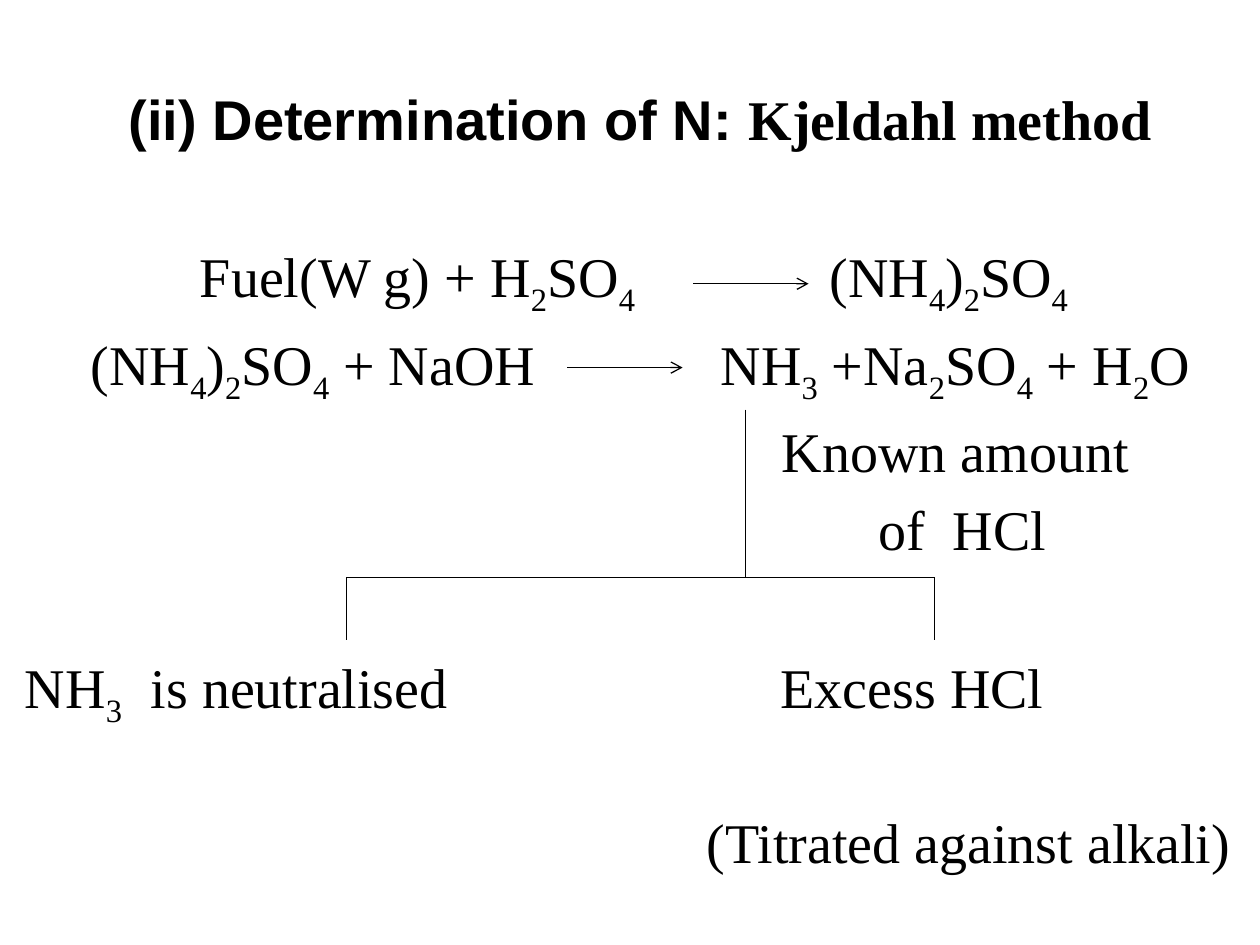
from lxml.etree import SubElement
from pptx import Presentation
from pptx.dml.color import RGBColor
from pptx.enum.shapes import MSO_CONNECTOR as Connector
from pptx.enum.text import PP_ALIGN as Align
from pptx.oxml.ns import qn
from pptx.util import Cm, Pt

COLORS = {"ink": "000000", "paper": "FFFFFF"}
SERIF, SANS = "Times New Roman", "Arial"
LINE_HEIGHT = 1.3
MARGINS = {"margin_left": 0, "margin_right": 0, "margin_top": 0, "margin_bottom": 0}
BODY = {"name": SERIF, "size": Pt(32), "bold": False}

TITLE = [("(ii) Determination of N: ", SANS), ("Kjeldahl method", SERIF)]
TITLE_AT = (0.21, 1.7, 25.4)

# left, top, width in cm, alignment, lines; "_" lowers the next character
STATEMENTS = [
    (4.03, 4.87, 10, Align.LEFT, ["Fuel(W g) + H_2SO_4"]),
    (16.72, 4.87, 6, Align.LEFT, ["(NH_4)_2SO_4"]),
    (1.83, 6.64, 10, Align.LEFT, ["(NH_4)_2SO_4 + NaOH"]),
    (14.53, 6.64, 10.5, Align.LEFT, ["NH_3 +Na_2SO_4 + H_2O"]),
    (15.26, 8.39, 8, Align.CENTER, ["Known amount", " of  HCl"]),
    (0.5, 13.15, 9.5, Align.LEFT, ["NH_3\tis neutralised"]),
    (15.74, 13.15, 7, Align.LEFT, ["Excess HCl"]),
    (14.25, 16.28, 11.1, Align.LEFT, ["(Titrated against alkali)"]),
]

ARROW_LENGTH = 2.33
REACTION_ARROWS = [(13.97, 5.72), (11.43, 7.41)]
TREE = {"stem": 15.03, "top": 8.26, "fork": 11.64, "bottom": 12.9,
        "branches": (6.99, 18.84)}


def apply(target, values):
    for name, value in values.items():
        setattr(target, name, value)


def add_run(paragraph, text, font=SERIF, bold=False, lowered=False):
    run = paragraph.add_run()
    run.text = text
    apply(run.font, {**BODY, "name": font, "bold": bold})
    run.font.color.rgb = RGBColor.from_string(COLORS["ink"])
    if lowered:
        run.font._element.set("baseline", "-25000")


def add_formula(paragraph, formula):
    start, *rest = formula.split("_")
    add_run(paragraph, start)
    for part in rest:
        add_run(paragraph, part[0], lowered=True)
        if part[1:]:
            add_run(paragraph, part[1:])


def add_frame(slide, left, top, width, lines=1):
    box = slide.shapes.add_textbox(Cm(left), Cm(top), Cm(width), Cm(LINE_HEIGHT * lines))
    apply(box.text_frame, {**MARGINS, "word_wrap": True})
    return box.text_frame


def add_line(slide, x1, y1, x2, y2, arrow=False):
    line = slide.shapes.add_connector(Connector.STRAIGHT, Cm(x1), Cm(y1), Cm(x2), Cm(y2))
    line.line.color.rgb = RGBColor.from_string(COLORS["ink"])
    line.line.width = Pt(0.75)
    if arrow:
        SubElement(line.line._get_or_add_ln(), qn("a:tailEnd"), type="arrow")
    SubElement(line._element.spPr, qn("a:effectLst"))


def main():
    deck = Presentation()
    deck.slide_width, deck.slide_height = Cm(25.4), Cm(19.05)
    slide = deck.slides.add_slide(deck.slide_layouts[6])
    slide.background.fill.solid()
    slide.background.fill.fore_color.rgb = RGBColor.from_string(COLORS["paper"])

    heading = add_frame(slide, *TITLE_AT).paragraphs[0]
    heading.alignment = Align.CENTER
    for text, font in TITLE:
        add_run(heading, text, font, bold=True)

    for left, top, width, alignment, lines in STATEMENTS:
        frame = add_frame(slide, left, top, width, len(lines))
        for index, formula in enumerate(lines):
            paragraph = frame.add_paragraph() if index else frame.paragraphs[0]
            paragraph.alignment = alignment
            paragraph.space_before = Pt(6.5 if index else 0)
            add_formula(paragraph, formula)

    for x, y in REACTION_ARROWS:
        add_line(slide, x, y, x + ARROW_LENGTH, y, arrow=True)

    first, last = TREE["branches"]
    add_line(slide, first, TREE["fork"], last, TREE["fork"])
    add_line(slide, TREE["stem"], TREE["top"], TREE["stem"], TREE["fork"])
    for x in TREE["branches"]:
        add_line(slide, x, TREE["fork"], x, TREE["bottom"])

    deck.save("out.pptx")


if __name__ == "__main__":
    main()
